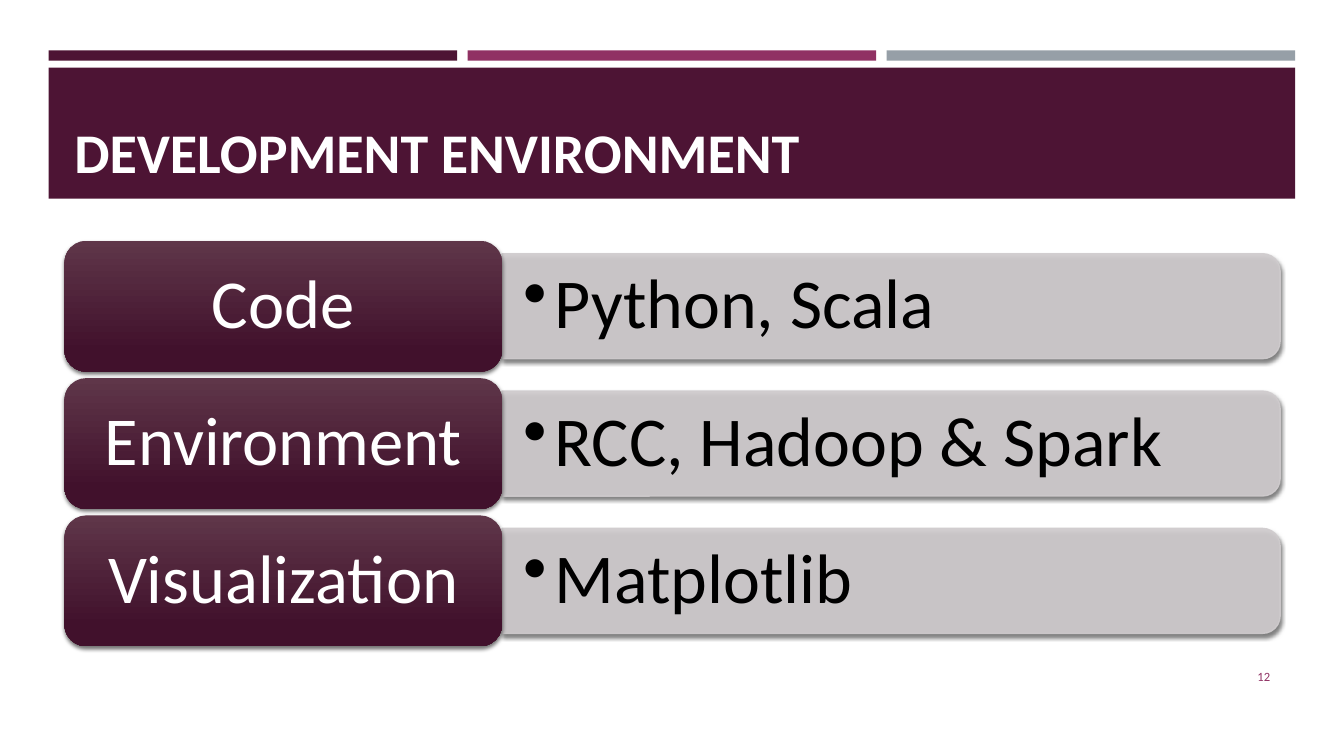
import pptx
import pptx.util
import pptx.dml.color
import pptx.enum.shapes
import pptx.enum.text
import lxml.etree

Pt = pptx.util.Pt
SHAPE = pptx.enum.shapes.MSO_SHAPE
ANCHOR = pptx.enum.text.MSO_ANCHOR
ALIGN = pptx.enum.text.PP_ALIGN
NS = pptx.oxml.ns.qn

COLORS = {
    "plum": "4D1434", "magenta": "903163", "slate": "969FA7",
    "label_top": "5F3649", "label_bottom": "41112C", "bar": "D0CCCE",
    "white": "FFFFFF", "black": "000000",
}
ROWS = [
    ("Code", "Python, Scala"),
    ("Environment", "RCC, Hadoop & Spark"),
    ("Visualization", "Matplotlib"),
]


def rgb(name):
    return pptx.dml.color.RGBColor.from_string(COLORS[name])


def add_shape(s, kind, x, y, w, h):
    sp = s.shapes.add_shape(kind, Pt(x), Pt(y), Pt(w), Pt(h))
    sp.shadow.inherit = False
    sp.line.fill.background()
    return sp


def add_rect(s, x, y, w, h, color):
    sp = add_shape(s, SHAPE.RECTANGLE, x, y, w, h)
    sp.fill.solid()
    sp.fill.fore_color.rgb = rgb(color)


def add_shadow(sp):
    """Give the shape a soft shadow falling straight down."""
    effects = sp._element.spPr.find(NS("a:effectLst"))
    shadow = lxml.etree.SubElement(
        effects, NS("a:outerShdw"), blurRad=str(Pt(3)), dist=str(Pt(2)),
        dir="5400000", algn="ctr", rotWithShape="0")
    color = lxml.etree.SubElement(shadow, NS("a:srgbClr"), val=COLORS["black"])
    lxml.etree.SubElement(color, NS("a:alpha"), val="55000")


def set_text(sp, text, size, color, anchor, align=ALIGN.LEFT, bold=False,
             inset=(7.2, 3.6), spacing=None, bullet_indent=0):
    tf = sp.text_frame
    tf.word_wrap = True
    tf.vertical_anchor = anchor
    tf.margin_left = tf.margin_right = Pt(inset[0])
    tf.margin_top = tf.margin_bottom = Pt(inset[1])
    p = tf.paragraphs[0]
    p.alignment = align
    if spacing:
        p.line_spacing = spacing
    if bullet_indent:
        pPr = p._p.get_or_add_pPr()
        pPr.set("marL", str(Pt(bullet_indent)))
        pPr.set("indent", str(-Pt(bullet_indent)))
        lxml.etree.SubElement(pPr, NS("a:buChar"), char="•")
    r = p.add_run()
    r.text = text
    r.font.name = "Calibri"
    r.font.size = Pt(size)
    r.font.bold = bold
    r.font.color.rgb = rgb(color)


def add_text(s, x, y, w, h, text, size, color, anchor, **options):
    sp = s.shapes.add_textbox(Pt(x), Pt(y), Pt(w), Pt(h))
    set_text(sp, text, size, color, anchor, **options)


def add_header(s, x, y, w, h, title):
    """Three accent strips above a title band."""
    gap, strip_h = 7.4, 7.3
    strip_w = (w - 2 * gap) / 3
    for i, color in enumerate(("plum", "magenta", "slate")):
        add_rect(s, x + i * (strip_w + gap), y, strip_w, strip_h, color)
    band_y = y + 12.4
    add_rect(s, x, band_y, w, h - 12.4, "plum")
    add_text(s, x + 11.3, band_y + 7, w - 22, 80, title, 40, "white",
             ANCHOR.BOTTOM, bold=True)


def add_bar(s, x, y, w, h, text):
    """Bar with its right corners rounded: a top-rounded shape turned by 90°."""
    sp = add_shape(s, SHAPE.ROUND_2_SAME_RECTANGLE,
                   x + (w - h) / 2, y + (h - w) / 2, h, w)
    sp.rotation = 90
    sp.fill.solid()
    sp.fill.fore_color.rgb = rgb("bar")
    sp.line.color.rgb = rgb("bar")
    sp.line.width = Pt(1)
    for color in sp._element.spPr.iter(NS("a:srgbClr")):
        lxml.etree.SubElement(color, NS("a:alpha"), val="90000")
    add_shadow(sp)
    add_text(s, x, y + 3.6, w - 3.6, h - 7.2, text, 50, "black", ANCHOR.MIDDLE,
             inset=(15, 7.5), spacing=0.9, bullet_indent=22.5)


def add_label(s, x, y, w, h, text):
    sp = add_shape(s, SHAPE.ROUNDED_RECTANGLE, x, y, w, h)
    sp.fill.gradient()
    sp.fill.gradient_angle = 270
    stops = zip(sp.fill.gradient_stops, (0, 0.84), ("label_top", "label_bottom"))
    for stop, position, color in stops:
        stop.position = position
        stop.color.rgb = rgb(color)
    add_shadow(sp)
    set_text(sp, text, 49, "white", ANCHOR.MIDDLE, align=ALIGN.CENTER,
             inset=(14.4, 7.2), spacing=0.9)


def add_rows(s, x, y, w, h, rows):
    """Stack of labels, each with a slimmer bar to its right."""
    pitch = h / len(rows)
    label_w, label_h, bar_h = 0.36 * w, pitch - 4.6, 75
    for i, (label, text) in enumerate(rows):
        top = y + i * pitch
        add_bar(s, x + label_w, top + (label_h - bar_h) / 2,
                w - label_w, bar_h, text)
        add_label(s, x, top, label_w, label_h, label)


def main():
    prs = pptx.Presentation()
    prs.slide_width, prs.slide_height = Pt(960), Pt(540)
    s = prs.slides.add_slide(prs.slide_layouts[6])
    add_header(s, 34.8, 36, 890.4, 106, "DEVELOPMENT ENVIRONMENT")
    add_text(s, 831.6, 468.7, 82.8, 28.8, "12", 9, "magenta", ANCHOR.MIDDLE,
             align=ALIGN.RIGHT)
    add_rows(s, 46, 172, 868.4, 294.3, ROWS)
    prs.save("out.pptx")


if __name__ == "__main__":
    main()
